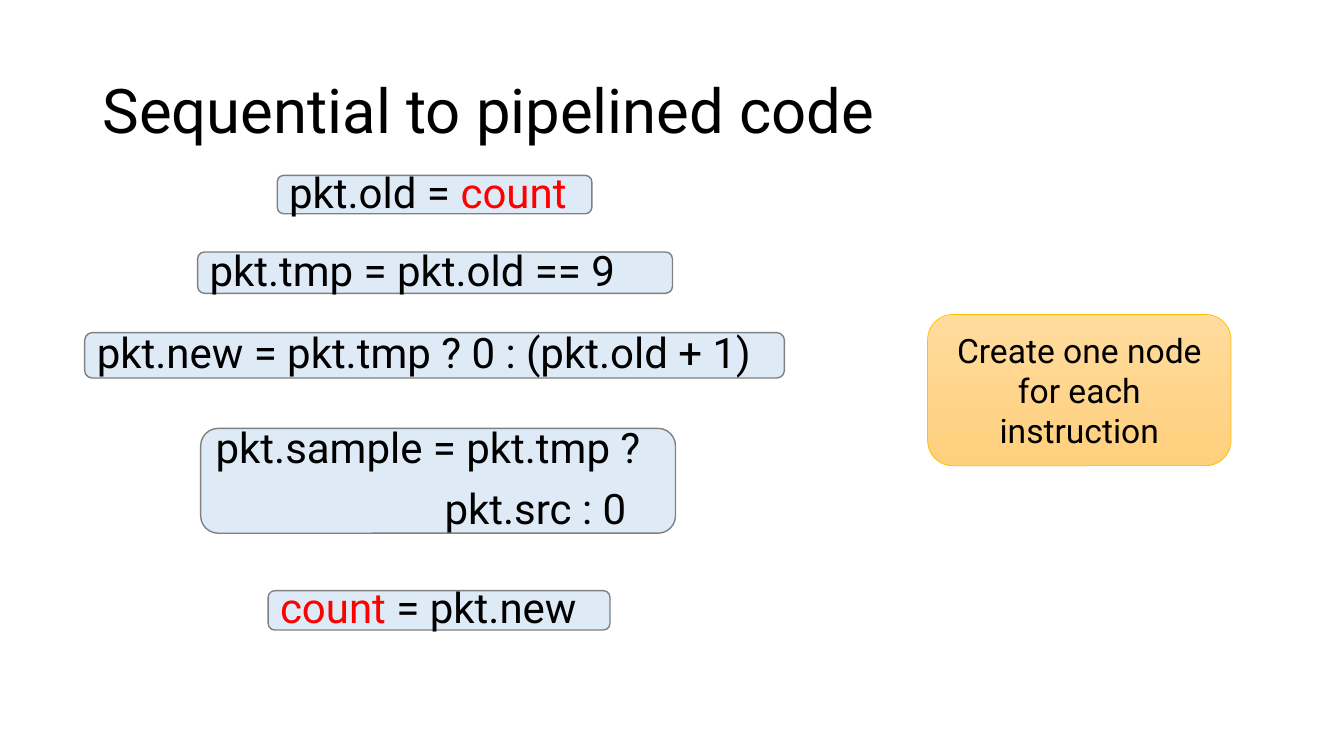
"""Build the slide that turns sequential code into one node per instruction."""
from pptx import Presentation
from pptx import util as u
from pptx.dml.color import RGBColor
from pptx.enum import shapes, text

BLACK = RGBColor(0x00, 0x00, 0x00)
RED = RGBColor(0xFF, 0x00, 0x00)
BLUE = RGBColor(0xDE, 0xEB, 0xF7)
GRAY = RGBColor(0x80, 0x80, 0x80)
GOLD = RGBColor(0xFF, 0xC0, 0x00)
LIGHT = RGBColor(0xFF, 0xDB, 0x9E)
DEEP = RGBColor(0xFF, 0xD0, 0x7C)

LEFT, MID = text.PP_ALIGN.LEFT, text.PP_ALIGN.CENTER
CODE = {"alignment": LEFT, "line_spacing": 0.9, "space_after": u.Pt(11)}
HEAD = {"alignment": LEFT, "line_spacing": 0.9}
NOTE = {"alignment": MID}

NODES = [
    ((2.75, 1.74, 3.12, 0.38), [[("pkt.old = ", BLACK), ("count", RED)]]),
    ((1.96, 2.5, 4.71, 0.41), [[("pkt.tmp = pkt.old == 9", BLACK)]]),
    ((0.84, 3.3, 6.94, 0.45), [[("pkt.new = pkt.tmp ? 0 : (pkt.old + 1)", BLACK)]]),
    ((1.99, 4.25, 4.71, 1.04), [[("pkt.sample = pkt.tmp ?", BLACK)], [("pkt.src : 0", BLACK)]]),
    ((2.66, 5.86, 3.39, 0.39), [[("count", RED), (" = pkt.new", BLACK)]]),
]
INDENT = 2.27


class Deck:
    def __init__(self):
        self.prs = Presentation()
        self.prs.slide_width = u.Inches(13.33)
        self.prs.slide_height = u.Inches(7.5)
        self.slide = self.prs.slides.add_slide(self.prs.slide_layouts[6])
        self.font = "Roboto"

    def label(self, shape, lines, size, style):
        frame = shape.text_frame
        frame.word_wrap = True
        frame.vertical_anchor = text.MSO_ANCHOR.MIDDLE
        for i, line in enumerate(lines):
            para = frame.add_paragraph() if i else frame.paragraphs[0]
            for key, val in style.items():
                setattr(para, key, val)
            if i:
                para._p.get_or_add_pPr().set("marL", str(u.Inches(INDENT)))
            for words, color in line:
                run = para.add_run()
                run.text = words
                form = {"name": self.font, "size": u.Pt(size)}
                for key, val in form.items():
                    setattr(run.font, key, val)
                run.font.color.rgb = color

    def title(self, box, words):
        shape = self.slide.shapes.add_textbox(*map(u.Inches, box))
        self.label(shape, [[(words, BLACK)]], 44, HEAD)

    def round(self, box, edge, width):
        kind = shapes.MSO_SHAPE.ROUNDED_RECTANGLE
        shape = self.slide.shapes.add_shape(kind, *map(u.Inches, box))
        shape.shadow.inherit = False
        shape.line.color.rgb = edge
        shape.line.width = u.Pt(width)
        return shape

    def node(self, box, lines):
        shape = self.round(box, GRAY, 1)
        shape.fill.solid()
        shape.fill.fore_color.rgb = BLUE
        self.label(shape, lines, 30, CODE)

    def note(self, box, words):
        shape = self.round(box, GOLD, 0.5)
        shape.fill.gradient()
        shape.fill.gradient_angle = 270
        for stop, color in zip(shape.fill.gradient_stops, (LIGHT, DEEP)):
            stop.color.rgb = color
        self.label(shape, [[(words, BLACK)]], 24, NOTE)


def main():
    deck = Deck()
    deck.note((9.2, 3.12, 3.01, 1.5), "Create one node for each instruction")
    deck.title((0.92, 0.4, 11.5, 1.45), "Sequential to pipelined code")
    for box, lines in NODES:
        deck.node(box, lines)
    deck.prs.save("out.pptx")


if __name__ == "__main__":
    main()
